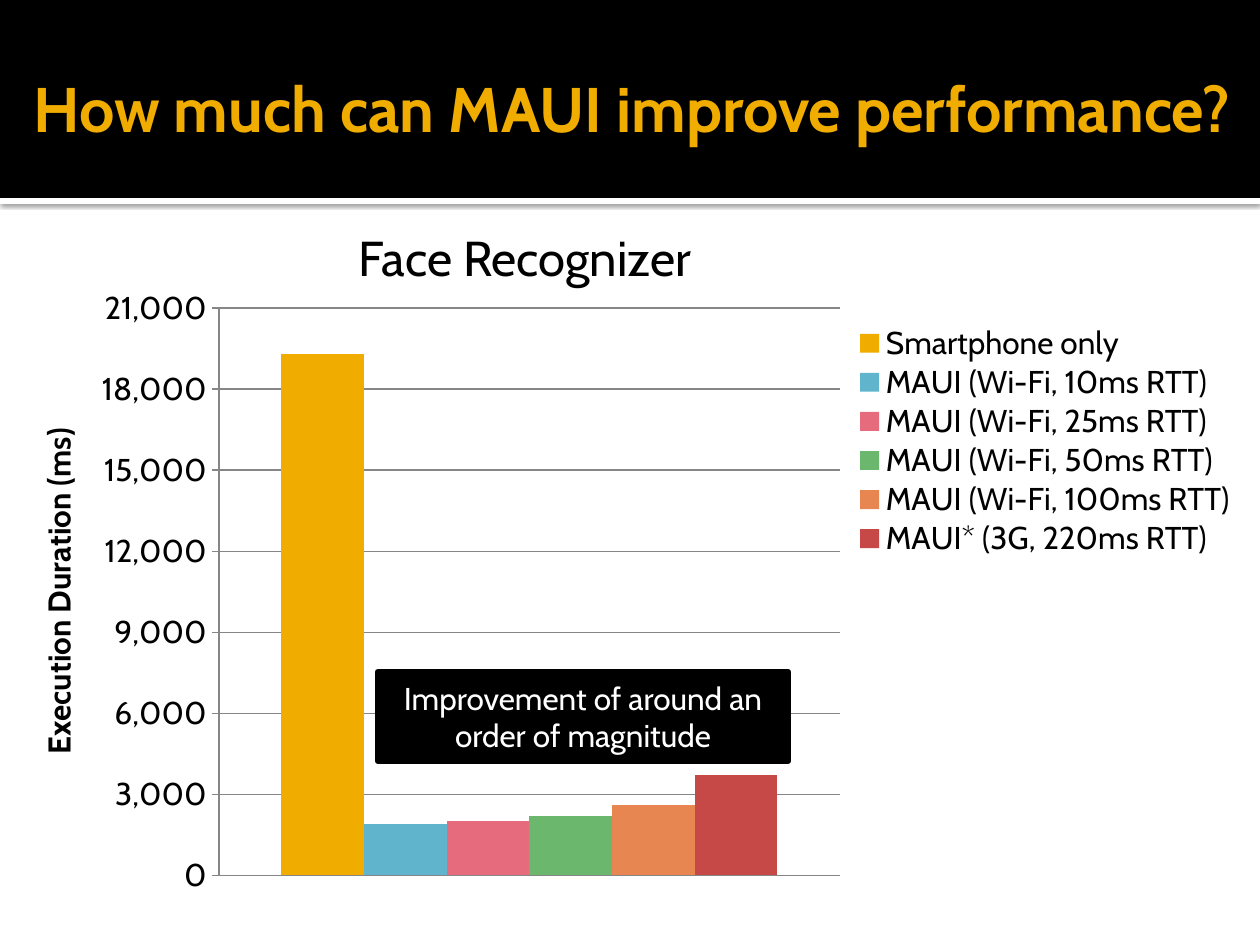
"""Build the slide comparing face recognizer execution times."""
from lxml import etree
from pptx import Presentation
from pptx.chart.data import CategoryChartData
from pptx.dml.color import RGBColor
from pptx.enum.chart import XL_CHART_TYPE as ChartType, XL_LEGEND_POSITION as LegendPosition
from pptx.enum.chart import XL_TICK_MARK as TickMark
from pptx.enum.shapes import MSO_SHAPE as Shape
from pptx.enum.text import MSO_ANCHOR as Anchor, PP_ALIGN as Align
from pptx.oxml import parse_xml
from pptx.util import Emu, Pt

FONT = "Cabin"
BLACK = RGBColor(0, 0, 0)
WHITE = RGBColor(255, 255, 255)
GOLD = RGBColor(0xF0, 0xAD, 0x00)
GRAY = RGBColor(0x86, 0x86, 0x86)
DRAWING = "http://schemas.openxmlformats.org/drawingml/2006/main"
CHART = "http://schemas.openxmlformats.org/drawingml/2006/chart"
SERIES = [
    ("Smartphone only", 19300, GOLD),
    ("MAUI (Wi-Fi, 10ms RTT)", 1900, RGBColor(0x60, 0xB5, 0xCC)),
    ("MAUI (Wi-Fi, 25ms RTT)", 2000, RGBColor(0xE6, 0x6C, 0x7D)),
    ("MAUI (Wi-Fi, 50ms RTT)", 2200, RGBColor(0x6B, 0xB7, 0x6D)),
    ("MAUI (Wi-Fi, 100ms RTT)", 2600, RGBColor(0xE8, 0x86, 0x51)),
    ("MAUI* (3G, 220ms RTT)", 3700, RGBColor(0xC6, 0x48, 0x47)),
]


def px(*lengths):
    return [Emu(round(length * 914400 / 126)) for length in lengths]


def write(box, text, size, color, align, bold=False):
    frame = box.text_frame
    frame.word_wrap = True
    frame.vertical_anchor = Anchor.MIDDLE
    para = frame.paragraphs[0]
    para.text = text
    para.alignment = align
    font = para.runs[0].font
    font.name, font.size, font.bold = FONT, Pt(size), bold
    font.color.rgb = color


deck = Presentation()
deck.slide_width, deck.slide_height = px(1260, 945)
page = deck.slides.add_slide(deck.slide_layouts[6])

bands = []
for top, height, color in [(198, 6, WHITE), (0, 198, BLACK)]:
    band = page.shapes.add_shape(Shape.RECTANGLE, *px(0, top, 1260, height))
    band.shadow.inherit = False
    band.fill.solid()
    band.fill.fore_color.rgb = color
    band.line.fill.background()
    bands.append(band)
effects = bands[0].element.spPr.find(f"{{{DRAWING}}}effectLst")
shadow = etree.SubElement(effects, f"{{{DRAWING}}}outerShdw", blurRad="31750",
                          dist="10160", dir="5400000", algn="t", rotWithShape="0")
tint = etree.SubElement(shadow, f"{{{DRAWING}}}srgbClr", val="000000")
etree.SubElement(tint, f"{{{DRAWING}}}alpha", val="60000")

title = page.shapes.add_textbox(*px(21, 21, 1260, 173))
write(title, "How much can MAUI improve performance?", 36, GOLD, Align.LEFT, True)
title.text_frame.margin_right = Pt(3.6)

data = CategoryChartData(number_format="#,##0")
data.categories = ["1"]
for name, duration, color in SERIES:
    data.add_series(name, [duration])
chart = page.shapes.add_chart(ChartType.COLUMN_CLUSTERED, *px(31, 289, 1229, 656), data).chart
chart.has_title = False
chart.font.name, chart.font.size = FONT, Pt(18)
chart.font.color.rgb = BLACK

plot = chart.plots[0]
plot.gap_width, plot.overlap, plot.vary_by_categories = 150, 0, False
for series, (name, duration, color) in zip(plot.series, SERIES):
    series.format.fill.solid()
    series.format.fill.fore_color.rgb = color

chart.category_axis.visible = False
axis = chart.value_axis
axis.minimum_scale, axis.maximum_scale, axis.major_unit = 0, 21000, 3000
axis.major_tick_mark, axis.minor_tick_mark = TickMark.OUTSIDE, TickMark.NONE
axis.tick_labels.number_format = "#,##0"
axis.tick_labels.number_format_is_linked = False
axis.has_major_gridlines = True
for line in (axis.format.line, axis.major_gridlines.format.line):
    line.color.rgb = GRAY
    line.width = Pt(0.75)
axis.axis_title.text_frame.text = "Execution Duration (ms)"
axis_font = axis.axis_title.text_frame.paragraphs[0].runs[0].font
axis_font.name, axis_font.size, axis_font.bold = FONT, Pt(18), True
axis_font.color.rgb = BLACK

chart.has_legend = True
legend = chart.legend
legend.position = LegendPosition.RIGHT
legend.include_in_layout = False

plot_area = chart.element.chart.plotArea
for layout in plot_area.findall(f"{{{CHART}}}layout"):
    plot_area.remove(layout)
legend_element = chart.element.chart.find(f"{{{CHART}}}legend")
for layout in legend_element.findall(f"{{{CHART}}}layout"):
    legend_element.remove(layout)
for parent, index, target, (left, top, width, height) in [
    (plot_area, 0, '<c:layoutTarget val="inner"/>', (0.153, 0.027, 0.505, 0.867)),
    (legend_element, 1, "", (0.66, 0.05, 0.33, 0.36)),
]:
    parent.insert(index, parse_xml(
        f'<c:layout xmlns:c="{CHART}"><c:manualLayout>{target}'
        '<c:xMode val="edge"/><c:yMode val="edge"/>'
        f'<c:x val="{left}"/><c:y val="{top}"/><c:w val="{width}"/><c:h val="{height}"/>'
        '</c:manualLayout></c:layout>'))

callout = page.shapes.add_shape(Shape.RECTANGLE, *px(378, 672, 410, 89))
callout.shadow.inherit = False
callout.fill.solid()
callout.fill.fore_color.rgb = BLACK
callout.line.color.rgb = BLACK
callout.line.width = Pt(3.78)
write(callout, "Improvement of around an order of magnitude", 18, WHITE, Align.CENTER)

heading = page.shapes.add_textbox(*px(210, 221, 630, 72))
write(heading, "Face Recognizer", 28, BLACK, Align.CENTER)

deck.save("out.pptx")
